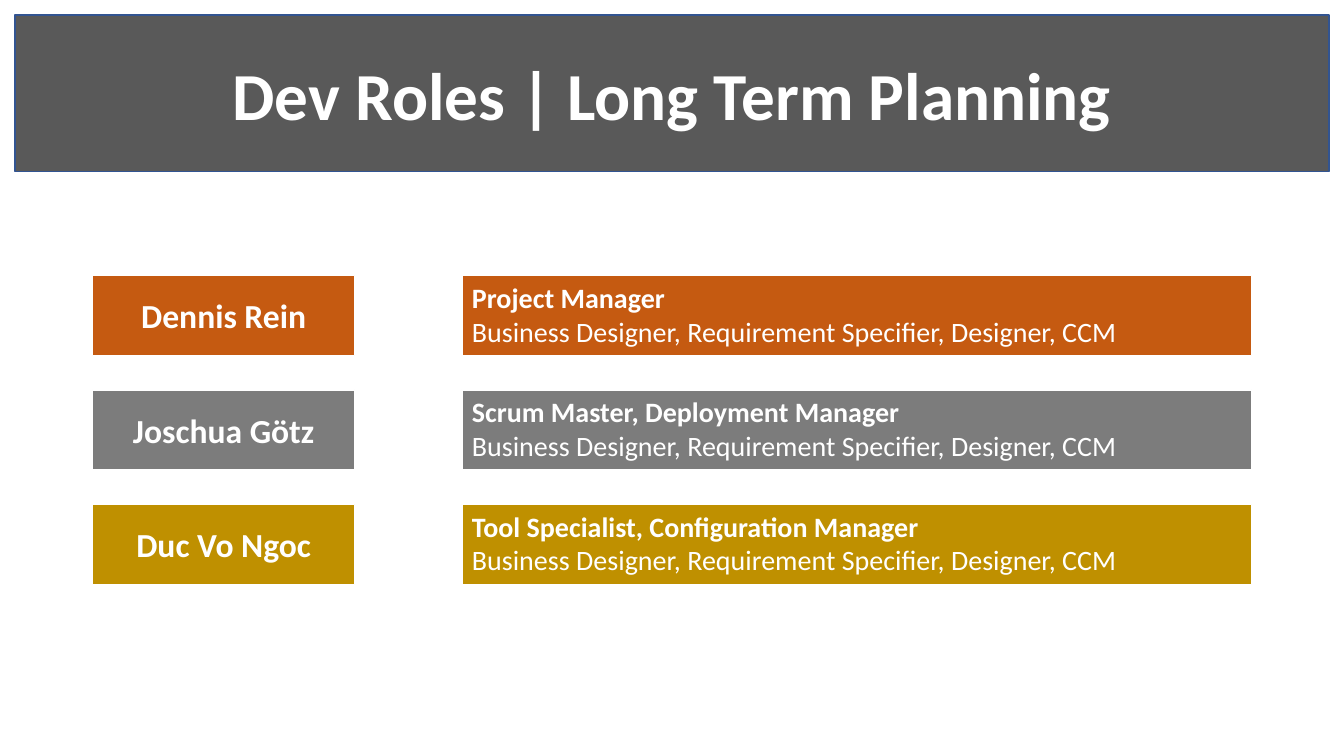
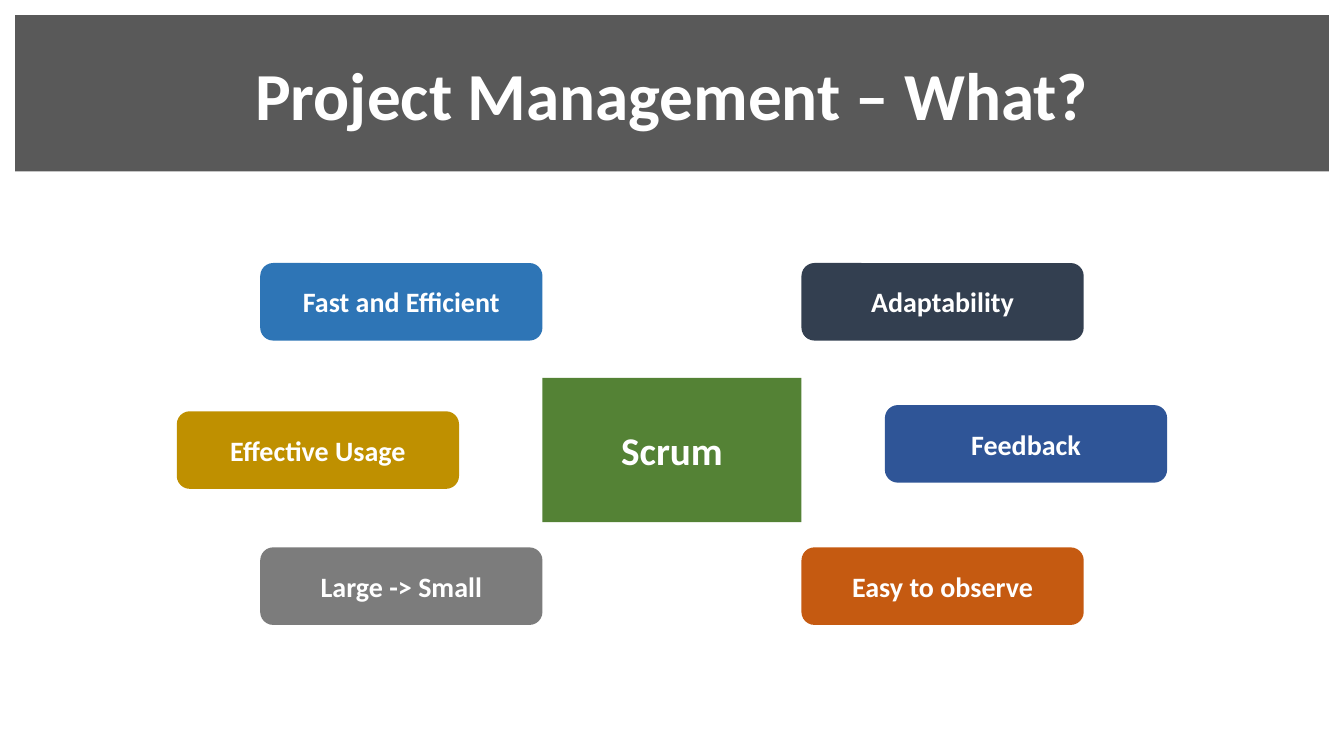
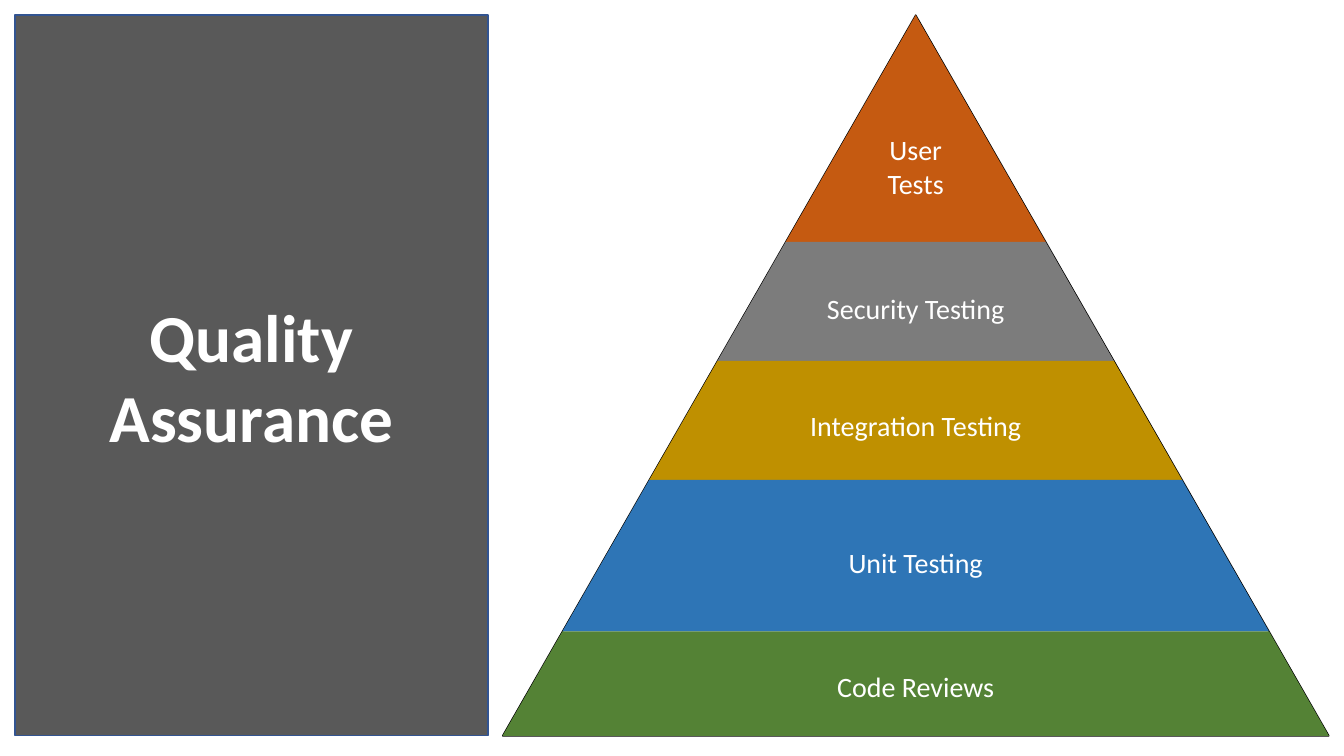
"""Build three slides on project roles, Scrum and quality assurance."""
from pptx import Presentation
from pptx.dml.color import RGBColor
from pptx.enum import shapes, text
from pptx.util import Pt

WHITE = RGBColor(0xFF, 0xFF, 0xFF)
BLACK = RGBColor(0x00, 0x00, 0x00)
DARK = RGBColor(0x59, 0x59, 0x59)
EDGE = RGBColor(0x32, 0x54, 0x91)
RUST = RGBColor(0xC5, 0x5A, 0x11)
GRAY = RGBColor(0x7C, 0x7C, 0x7C)
GOLD = RGBColor(0xBF, 0x90, 0x00)
BLUE = RGBColor(0x2E, 0x75, 0xB6)
NAVY = RGBColor(0x2F, 0x55, 0x97)
SLATE = RGBColor(0x33, 0x3F, 0x50)
GREEN = RGBColor(0x54, 0x82, 0x35)
FONT = "Calibri"
KIND = shapes.MSO_SHAPE
MID, TOP = text.MSO_ANCHOR.MIDDLE, text.MSO_ANCHOR.TOP
LEFT, CENTER = text.PP_ALIGN.LEFT, text.PP_ALIGN.CENTER

WIDE, HIGH, EDGE_GAP = 960, 540, 10.8
BAND = (EDGE_GAP, EDGE_GAP, 938.4, 111.6)
SIDE = (EDGE_GAP, EDGE_GAP, 337.7, 514.8)

SHARED = "Business Designer, Requirement Specifier, Designer, CCM"
TEAM = [
    ("Dennis Rein", "Project Manager", RUST),
    ("Joschua Götz", "Scrum Master, Deployment Manager", GRAY),
    ("Duc Vo Ngoc", "Tool Specialist, Configuration Manager", GOLD),
]
TRAITS = [
    ("Fast and Efficient", -1, 0, 187.9, BLUE),
    ("Effective Usage", -1, 59.6, 293.8, GOLD),
    ("Large -> Small", -1, 0, 391, GRAY),
    ("Adaptability", 1, 0, 187.9, SLATE),
    ("Feedback", 1, 59.6, 289.4, NAVY),
    ("Easy to observe", 1, 0, 391, RUST),
]
LEVELS = [
    (["User", "Tests"], 162, RUST),
    (["Security Testing"], 85, GRAY),
    (["Integration Testing"], 85, GOLD),
    (["Unit Testing"], 108.2, BLUE),
    (["Code Reviews"], 74.6, GREEN),
]


def paint(shape, fill, line=None):
    """Set fill and outline; None means neither."""
    if fill is None:
        shape.fill.background()
    else:
        shape.fill.solid()
        shape.fill.fore_color.rgb = fill
    if line is None:
        shape.line.fill.background()
    else:
        shape.line.color.rgb = line
        shape.line.width = Pt(1)


def write(shape, lines, size, align=CENTER, anchor=MID):
    """Write (text, bold) pairs, one paragraph each."""
    frame = shape.text_frame
    frame.word_wrap = True
    frame.auto_size = text.MSO_AUTO_SIZE.NONE
    frame.vertical_anchor = anchor
    for i, (words, bold) in enumerate(lines):
        para = frame.add_paragraph() if i else frame.paragraphs[0]
        para.alignment = align
        run = para.add_run()
        run.text = words
        font = run.font
        font.name, font.size, font.bold = FONT, Pt(size), bold
        font.color.rgb = WHITE


def add(slide, kind, box, fill, line=None):
    """Add a flat preset shape."""
    shape = slide.shapes.add_shape(kind, *map(Pt, box))
    shape.shadow.inherit = False
    paint(shape, fill, line)
    return shape


def start(deck, title, box, line=None):
    """Add a slide whose title fills a dark band."""
    slide = deck.slides.add_slide(deck.slide_layouts[5])
    head = slide.shapes.title
    head.left, head.top, head.width, head.height = map(Pt, box)
    paint(head, DARK, line)
    write(head, [(words, True) for words in title], 48)
    return slide


def roles(deck):
    """Show each member beside their roles."""
    slide = start(deck, ["Dev Roles | Long Term Planning"], BAND, EDGE)
    first, pitch, high = 196.8, 81.7, 57.2
    for i, (name, role, fill) in enumerate(TEAM):
        top = first + i * pitch
        tag = add(slide, KIND.RECTANGLE, (66.2, top, 187.2, high), fill, WHITE)
        write(tag, [(name, True)], 24)
        bar = add(slide, KIND.RECTANGLE, (330, top, 563.8, high), fill, WHITE)
        write(bar, [(role, True), (SHARED, False)], 20, LEFT, TOP)


def scrum(deck):
    """Set the traits around a central hub."""
    slide = start(deck, ["Project Management – What?"], BAND)
    half, wide, high = 92.5, 201.6, 55.4
    hub = add(slide, KIND.RECTANGLE, (WIDE / 2 - half, 270, 2 * half, 103), GREEN)
    write(hub, [("Scrum", True)], 28)
    for name, side, gap, top, fill in TRAITS:
        mid = WIDE / 2 + side * (half + gap + wide / 2)
        box = (mid - wide / 2, top, wide, high)
        write(add(slide, KIND.ROUNDED_RECTANGLE, box, fill), [(name, True)], 20)


def quality(deck):
    """Stack the test levels into a pyramid."""
    slide = start(deck, ["Quality", "Assurance"], SIDE, EDGE)
    left, base = 359, 590.2
    tall = sum(high for _, high, _ in LEVELS)
    slope = base / 2 / tall
    add(slide, KIND.ISOSCELES_TRIANGLE, (left, EDGE_GAP, base, tall), None, BLACK)
    depth = 0
    for lines, high, fill in LEVELS:
        top = EDGE_GAP + depth
        depth += high
        wide = 2 * slope * depth
        box = (left + (base - wide) / 2, top, wide, high)
        level = add(slide, KIND.TRAPEZOID, box, fill)
        level.adjustments[0] = slope
        write(level, [(words, False) for words in lines], 20)


def main():
    """Build and save the deck."""
    deck = Presentation()
    deck.slide_width, deck.slide_height = Pt(WIDE), Pt(HIGH)
    for build in (roles, scrum, quality):
        build(deck)
    deck.save("out.pptx")


if __name__ == "__main__":
    main()
